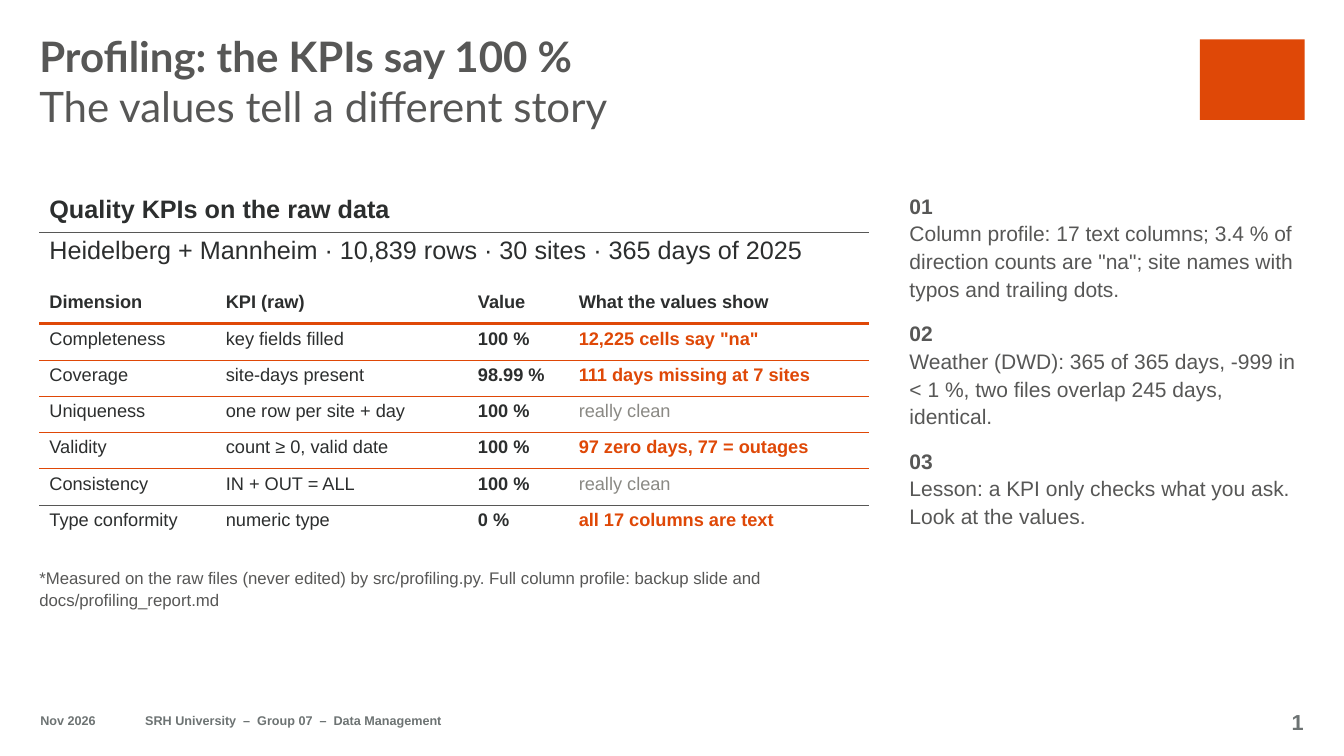
"""Build the slide on profiling KPIs and what the values really show."""
from dataclasses import dataclass

import pptx
import pptx.dml.color
import pptx.enum.shapes
import pptx.enum.text
import pptx.oxml.ns
import pptx.util
from lxml import etree

Inches = pptx.util.Inches
Pt = pptx.util.Pt
PP_ALIGN = pptx.enum.text.PP_ALIGN
ANCHOR = pptx.enum.text.MSO_ANCHOR
qn = pptx.oxml.ns.qn

ORANGE, INK, GREY, FOOTER, PALE = "DF4807", "2C2E2E", "575756", "6D7373", "8A8984"


@dataclass
class Box:
    left: float
    top: float
    width: float
    height: float

    def lengths(self) -> tuple:
        return tuple(Inches(v) for v in (self.left, self.top, self.width, self.height))


@dataclass
class Kpi:
    dimension: str
    kpi: str
    value: str
    finding: str
    clean: bool = False


@dataclass
class Rule:
    color: str
    width: float


@dataclass
class FooterItem:
    text: str
    box: Box
    size: float = 9
    align: PP_ALIGN = PP_ALIGN.LEFT


KPIS = [
    Kpi("Completeness", "key fields filled", "100 %", '12,225 cells say "na"'),
    Kpi("Coverage", "site-days present", "98.99 %", "111 days missing at 7 sites"),
    Kpi("Uniqueness", "one row per site + day", "100 %", "really clean", True),
    Kpi("Validity", "count ≥ 0, valid date", "100 %", "97 zero days, 77 = outages"),
    Kpi("Consistency", "IN + OUT = ALL", "100 %", "really clean", True),
    Kpi("Type conformity", "numeric type", "0 %", "all 17 columns are text"),
]
KPI_HEADER = ["Dimension", "KPI (raw)", "Value", "What the values show"]
KPI_RULES = [Rule(ORANGE, 2)] + [Rule(ORANGE, 0.5)] * 4 + [Rule(GREY, 0.5)]
NOTES = [
    '01\vColumn profile: 17 text columns; 3.4 % of direction counts are "na"; '
    "site names with typos and trailing dots.",
    "02\vWeather (DWD): 365 of 365 days, -999 in < 1 %, two files overlap 245 days, identical.",
    "03\vLesson: a KPI only checks what you ask. Look at the values.",
]
FOOTNOTE = ("*Measured on the raw files (never edited) by src/profiling.py. "
            "Full column profile: backup slide and docs/profiling_report.md")
FOOTER_ITEMS = [
    FooterItem("Nov 2026", Box(0.4, 6.95, 0.96, 0.4)),
    FooterItem("SRH University  –  Group 07  –  Data Management", Box(1.44, 6.95, 7.1, 0.4)),
    FooterItem("1", Box(12.19, 6.96, 0.74, 0.4), 15.5, PP_ALIGN.RIGHT),
]


def rgb(color: str) -> pptx.dml.color.RGBColor:
    return pptx.dml.color.RGBColor.from_string(color)


def format_run(r, size: float, color: str, bold: bool, font: str = "Arial") -> None:
    r.font.name, r.font.size, r.font.bold = font, Pt(size), bold
    r.font.color.rgb = rgb(color)


def prepare_frame(tf, anchor: ANCHOR) -> None:
    tf.margin_left = tf.margin_right = tf.margin_top = tf.margin_bottom = 0
    tf.word_wrap = True
    tf.auto_size = pptx.enum.text.MSO_AUTO_SIZE.NONE
    tf.vertical_anchor = anchor


def place(sp, box: Box) -> None:
    sp.left, sp.top, sp.width, sp.height = box.lengths()


def size_breaks(p, size: float) -> None:
    for br in p._p.findall(qn("a:br")):
        etree.SubElement(br, qn("a:rPr")).set("sz", str(int(size * 100)))


def fill_title(sp, text: str, box: Box) -> None:
    place(sp, box)
    prepare_frame(sp.text_frame, ANCHOR.BOTTOM)
    p = sp.text_frame.paragraphs[0]
    p.text = text
    p.alignment = PP_ALIGN.LEFT
    size_breaks(p, 30)
    for i, r in enumerate(p.runs):
        format_run(r, 30, GREY, i == 0, "Lato")


def fill_body(sp, texts: list[str], box: Box, size: float, anchor: ANCHOR) -> None:
    place(sp, box)
    tf = sp.text_frame
    prepare_frame(tf, anchor)
    for i, text in enumerate(texts):
        p = tf.add_paragraph() if i else tf.paragraphs[0]
        p.text = text
        pPr = p._p.get_or_add_pPr()
        pPr.set("marL", "0")
        pPr.set("indent", "0")
        etree.SubElement(pPr, qn("a:buNone"))
        p.line_spacing = 1.1
        p.space_before = Pt(12 if i else 0)
        size_breaks(p, size)
        for j, r in enumerate(p.runs):
            format_run(r, size, GREY, j == 0 and len(p.runs) > 1)


def set_border(cell, side: str, rule: Rule | None) -> None:
    ln = etree.SubElement(cell._tc.get_or_add_tcPr(), qn(f"a:ln{side}"))
    if rule is None:
        etree.SubElement(ln, qn("a:noFill"))
        return
    ln.set("w", str(int(Pt(rule.width))))
    fill = etree.SubElement(ln, qn("a:solidFill"))
    etree.SubElement(fill, qn("a:srgbClr")).set("val", rule.color)


def add_table(slide, box: Box, widths: list[float], rows: list[list[tuple]],
              rules: list[Rule], size: float) -> None:
    """Draw rows of (text, color, bold) cells with one rule between neighbouring rows."""
    table = slide.shapes.add_table(len(rows), len(widths), *box.lengths()).table
    table.first_row = table.horz_banding = False
    for column, width in zip(table.columns, widths):
        column.width = Inches(width)
    edges = [None, *rules, None]
    for i, row in enumerate(rows):
        table.rows[i].height = Inches(box.height / len(rows))
        for j, (text, color, bold) in enumerate(row):
            cell = table.cell(i, j)
            cell.text_frame.text = text
            format_run(cell.text_frame.paragraphs[0].runs[0], size, color, bold)
            for side, rule in zip("LRTB", (None, None, edges[i], edges[i + 1])):
                set_border(cell, side, rule)
            cell.fill.background()


def add_footer_item(slide, item: FooterItem) -> None:
    tf = slide.shapes.add_textbox(*item.box.lengths()).text_frame
    prepare_frame(tf, ANCHOR.MIDDLE)
    tf.text = item.text
    p = tf.paragraphs[0]
    p.alignment = item.align
    format_run(p.runs[0], item.size, FOOTER, True)


def kpi_row(k: Kpi) -> list[tuple]:
    return [(k.dimension, INK, False), (k.kpi, INK, False), (k.value, INK, True),
            (k.finding, PALE if k.clean else ORANGE, not k.clean)]


def main() -> None:
    prs = pptx.Presentation()
    prs.slide_width, prs.slide_height = Inches(13.33), Inches(7.5)
    slide = prs.slides.add_slide(prs.slide_layouts[3])
    title, footnote, notes = slide.placeholders

    mark = slide.shapes.add_shape(pptx.enum.shapes.MSO_SHAPE.RECTANGLE,
                                  *Box(11.9, 0.39, 1.04, 0.8).lengths())
    mark.shadow.inherit = False
    mark.fill.solid()
    mark.fill.fore_color.rgb = rgb(ORANGE)
    mark.line.fill.background()

    fill_title(title, "Profiling: the KPIs say 100 %\vThe values tell a different story",
               Box(0.39, 0.39, 10.01, 0.91))
    add_table(slide, Box(0.39, 1.89, 8.23, 0.82), [8.23],
              [[("Quality KPIs on the raw data", INK, True)],
               [("Heidelberg + Mannheim · 10,839 rows · 30 sites · 365 days of 2025", INK, False)]],
              [Rule(GREY, 0.5)], 18)
    add_table(slide, Box(0.39, 2.85, 8.23, 2.52), [1.75, 2.5, 1, 2.98],
              [[(h, INK, True) for h in KPI_HEADER]] + [kpi_row(k) for k in KPIS],
              KPI_RULES, 13)
    fill_body(footnote, [FOOTNOTE], Box(0.39, 5.6, 8.23, 0.45), 12, ANCHOR.BOTTOM)
    fill_body(notes, NOTES, Box(9.02, 1.89, 3.92, 4.63), 15, ANCHOR.TOP)
    for item in FOOTER_ITEMS:
        add_footer_item(slide, item)
    prs.save("out.pptx")


if __name__ == "__main__":
    main()
